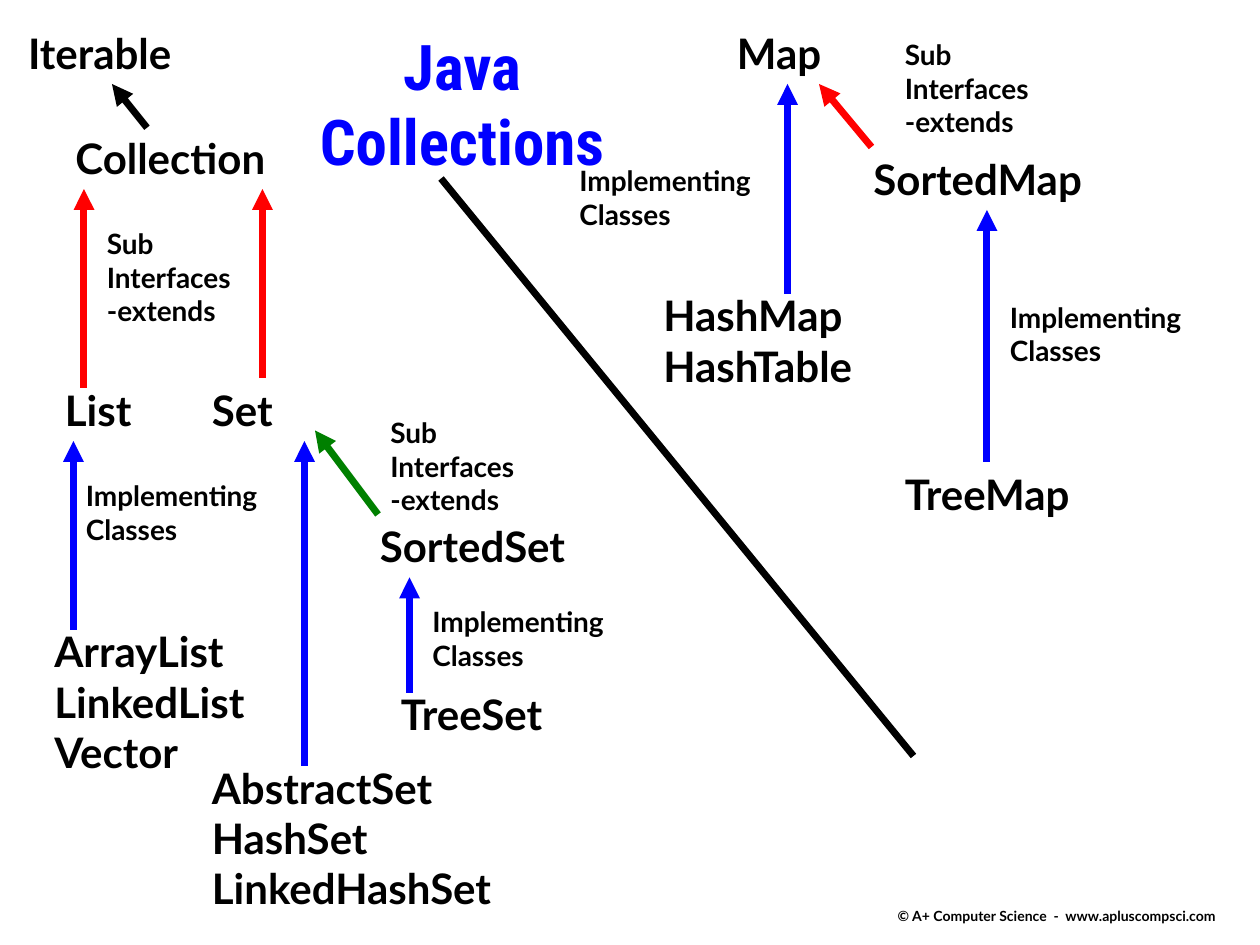
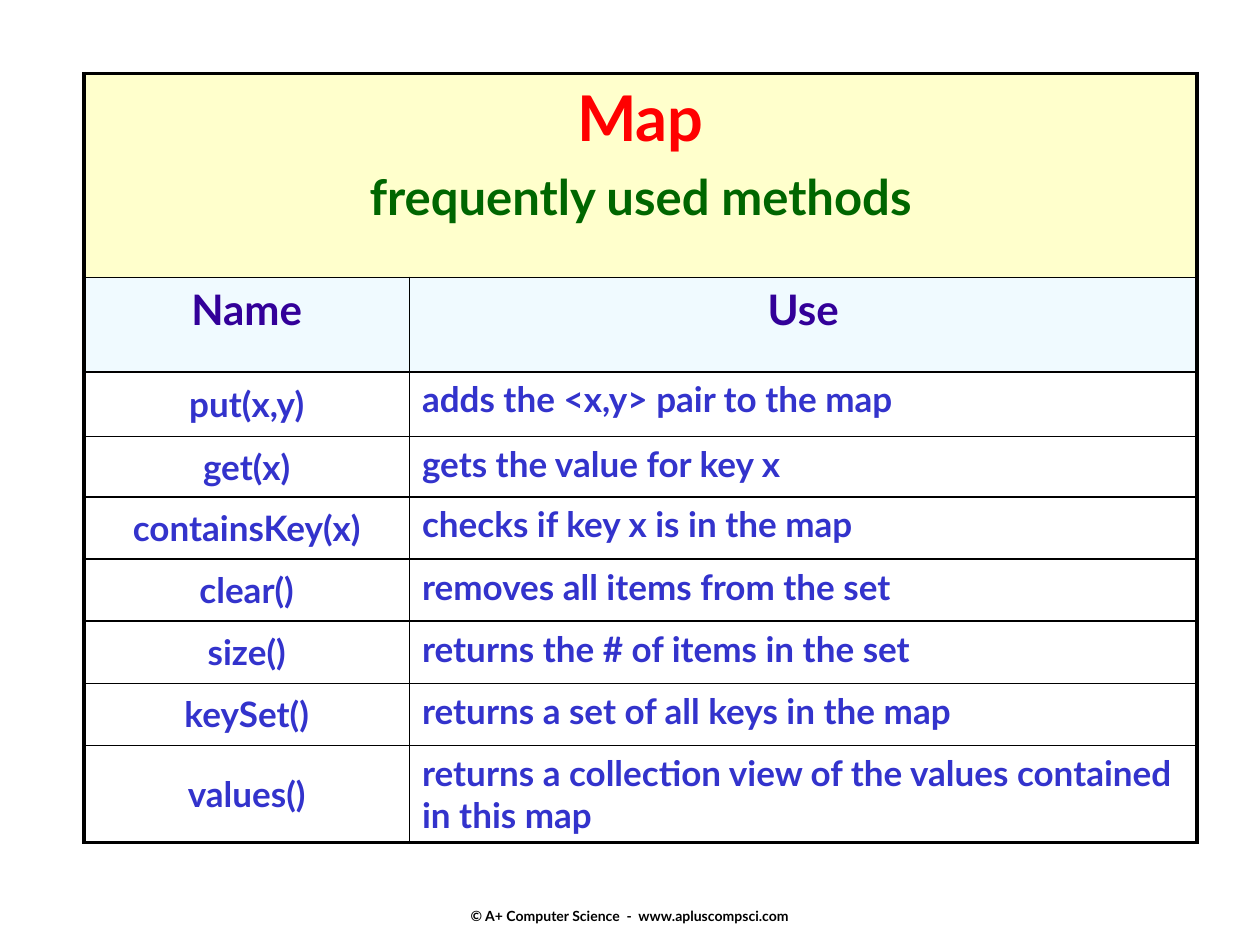
import pptx
import pptx.util
import pptx.dml.color
import pptx.enum.shapes
import pptx.enum.text
import lxml.etree

Pt = pptx.util.Pt
RGB = pptx.dml.color.RGBColor.from_string
Align = pptx.enum.text.PP_ALIGN
Anchor = pptx.enum.text.MSO_ANCHOR
NS = "{http://schemas.openxmlformats.org/drawingml/2006/main}"
FACE = "Lato"
HUES = {
    "black": "000000", "blue": "0000FF", "red": "FF0000", "green": "008000",
    "cream": "FFFFCC", "ice": "F0FAFF", "pine": "006600",
    "violet": "330099", "indigo": "3333CC",
}


def write(frame, lines, side, face=FACE):
    for i, (text, size, hue) in enumerate(lines):
        para = frame.paragraphs[0] if i == 0 else frame.add_paragraph()
        para.alignment = side
        run = para.add_run()
        run.text = text
        run.font.name = face
        run.font.size = Pt(size)
        run.font.bold = True
        run.font.color.rgb = RGB(HUES[hue])


def draw(shapes, x1, y1, x2, y2, hue):
    line = shapes.add_connector(pptx.enum.shapes.MSO_CONNECTOR.STRAIGHT,
                                Pt(x1), Pt(y1), Pt(x2), Pt(y2))
    line.line.color.rgb = RGB(HUES[hue])
    line.line.width = Pt(4)
    lxml.etree.SubElement(line._element.spPr, NS + "effectLst")
    return line


deck = pptx.Presentation()
deck.slide_width, deck.slide_height = Pt(720), Pt(540)
chart, methods = [deck.slides.add_slide(deck.slide_layouts[6]) for _ in range(2)]

for slide, left in ((chart, 490), (methods, 246)):
    foot = slide.shapes.add_textbox(Pt(left), Pt(492), Pt(228), Pt(36)).text_frame
    foot.word_wrap = False
    foot.vertical_anchor = Anchor.BOTTOM
    foot.margin_bottom = 0
    write(foot, [("© A+ Computer Science  -  www.apluscompsci.com", 8, "black")],
          Align.CENTER)

title = chart.shapes.add_textbox(Pt(150), Pt(12), Pt(228), Pt(54)).text_frame
title.word_wrap = False
write(title, [("Java Collections", 36, "blue")], Align.CENTER, "Roboto Condensed")

SUB = ["Sub", "Interfaces", "-extends"]
IMPL = ["Implementing", "Classes"]
map_tree = (
    [
        (414, 12, 66, 24, ["Map"]),
        (510, 264, 119, 24, ["TreeMap"]),
        (492, 84, 145, 24, ["SortedMap"]),
        (510, 18, 98, 16, SUB),
        (570, 168, 134, 16, IMPL),
        (324, 90, 134, 16, IMPL),
        (372, 162, 140, 24, ["HashMap", "HashTable"]),
    ],
    [
        (468, 48, 498, 84, "red"),
        (450, 48, 450, 168, "blue"),
        (564, 120, 564, 264, "blue"),
    ],
)
list_tree = (
    [
        (36, 72, 134, 24, ["Collection"]),
        (30, 216, 153, 24, ["List\tSet"]),
        (54, 126, 98, 16, SUB),
        (42, 270, 134, 16, IMPL),
        (24, 354, 138, 24, ["ArrayList", "LinkedList", "Vector"]),
        (114, 432, 194, 24, ["AbstractSet", "HashSet", "LinkedHashSet"]),
        (222, 390, 107, 24, ["TreeSet"]),
        (210, 294, 134, 24, ["SortedSet"]),
        (216, 234, 98, 16, SUB),
        (240, 342, 134, 16, IMPL),
        (9, 12, 113, 24, ["Iterable"]),
    ],
    [
        (48, 108, 48, 222, "red"),
        (150, 108, 150, 216, "red"),
        (180, 246, 216, 294, "green"),
        (174, 252, 174, 438, "blue"),
        (234, 330, 234, 396, "blue"),
        (42, 252, 42, 360, "blue"),
        (64, 48, 84, 73, "black"),
    ],
)

for labels, arrows in (map_tree, list_tree):
    shapes = chart.shapes.add_group_shape().shapes
    for x, y, w, size, names in labels:
        tall = round(1.2 * size * len(names) + 7.2)
        frame = shapes.add_textbox(Pt(x), Pt(y), Pt(w), Pt(tall)).text_frame
        frame.word_wrap = False
        frame.auto_size = pptx.enum.text.MSO_AUTO_SIZE.SHAPE_TO_FIT_TEXT
        if "\t" in names[0]:
            props = frame.paragraphs[0]._p.get_or_add_pPr()
            tabs = lxml.etree.SubElement(props, NS + "tabLst")
            lxml.etree.SubElement(tabs, NS + "tab", pos=str(Pt(84)), algn="l")
        write(frame, [(name, size, "black") for name in names], Align.LEFT)
    for arrow in arrows:
        line = draw(shapes, *arrow)
        lxml.etree.SubElement(line.line._get_or_add_ln(), NS + "headEnd",
                              type="triangle")

draw(chart.shapes, 252, 102, 522, 432, "black")

rows = [
    ("Name", "Use"),
    ("put(x,y)", "adds the <x,y> pair to the map"),
    ("get(x)", "gets the value for key x"),
    ("containsKey(x)", "checks if key x is in the map"),
    ("clear()", "removes all items from the set"),
    ("size()", "returns the # of items in the set"),
    ("keySet()", "returns a set of all keys in the map"),
    ("values()", "returns a collection view of the values contained in this map"),
]
tall = [116.5, 54, 37, 34.5, 35.5, 35.5, 35.5, 35.5, 55.5]
last = len(rows)
grid = methods.shapes.add_table(last + 1, 2, Pt(48), Pt(42),
                                Pt(636), Pt(sum(tall))).table
grid.first_row = grid.horz_banding = False
grid.columns[0].width, grid.columns[1].width = Pt(186), Pt(450)
for row, high in zip(grid.rows, tall):
    row.height = Pt(high)
grid.cell(0, 0).merge(grid.cell(0, 1))

for r in range(last + 1):
    for c in range(2):
        cell = grid.cell(r, c)
        props = cell._tc.get_or_add_tcPr()
        outer = {"lnL": c == 0, "lnR": c == 1 or r == 0,
                 "lnT": r == 0, "lnB": r == last}
        for edge, thick in outer.items():
            rule = lxml.etree.SubElement(props, NS + edge,
                                         w=str(Pt(2.25 if thick else 1)))
            fill = lxml.etree.SubElement(rule, NS + "solidFill")
            lxml.etree.SubElement(fill, NS + "srgbClr", val=HUES["black"])
        if r < 2:
            cell.fill.solid()
            cell.fill.fore_color.rgb = RGB(HUES["ice" if r else "cream"])
        else:
            cell.fill.background()
            if c == 0:
                cell.vertical_anchor = Anchor.MIDDLE
        if r:
            style = (24, "violet") if r == 1 else (20, "indigo")
            side = Align.CENTER if r == 1 or c == 0 else Align.LEFT
            write(cell.text_frame, [(rows[r - 1][c], *style)], side)

head = grid.cell(0, 0).text_frame
write(head, [("Map", 36, "red"), ("frequently used methods", 28, "pine")],
      Align.CENTER)
head.paragraphs[1].space_before = Pt(7)

deck.save("out.pptx")
